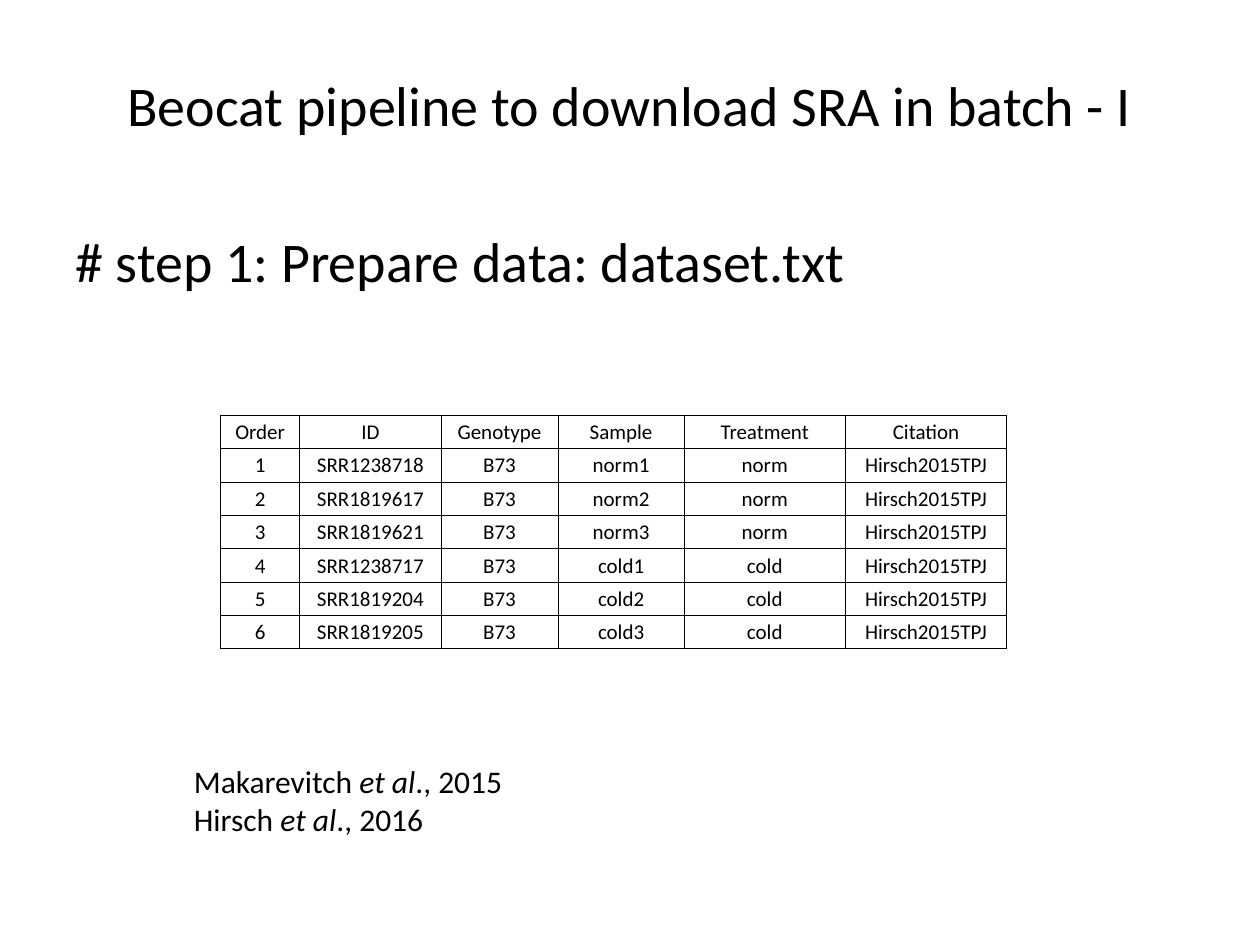
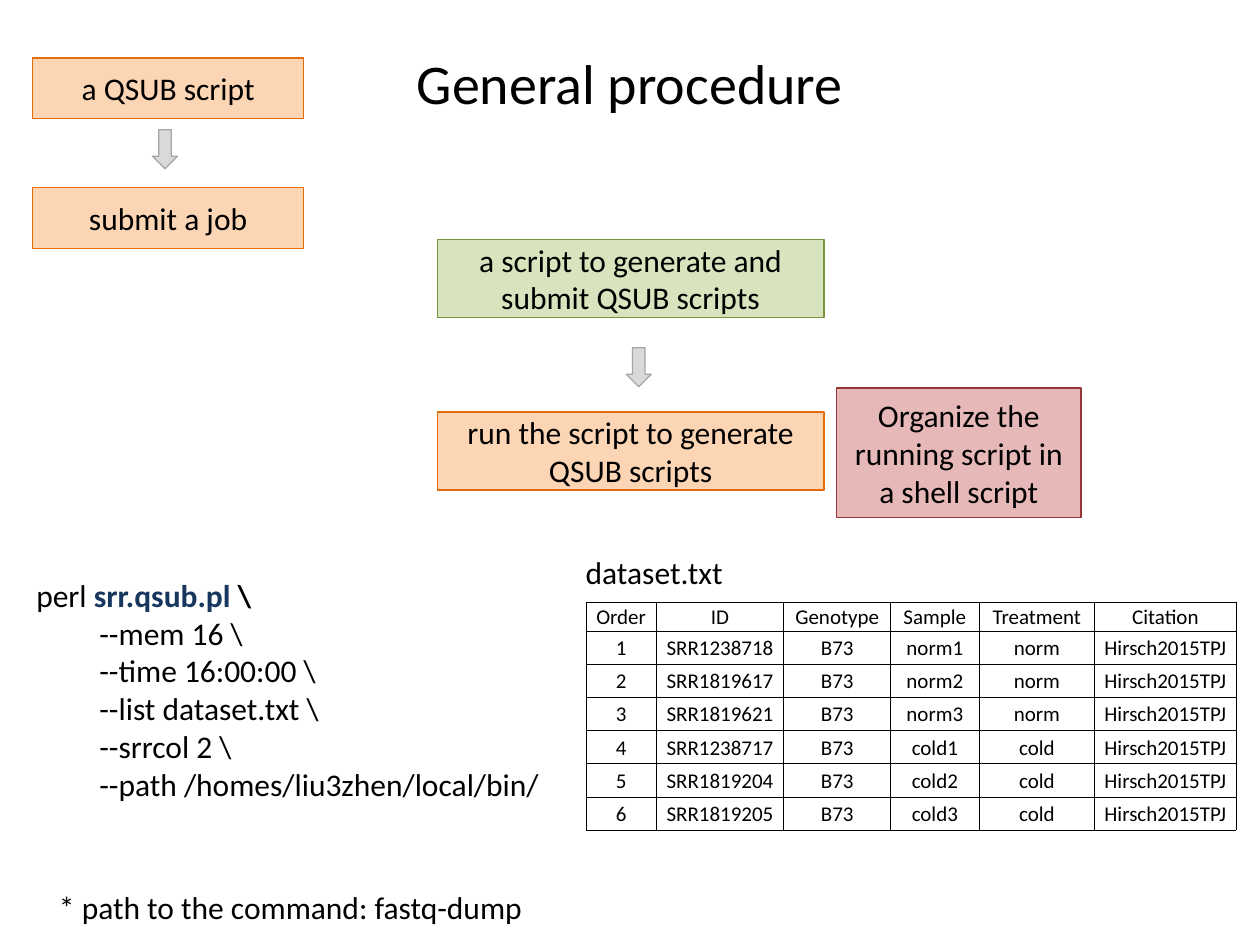
from lxml.etree import SubElement
from pptx import Presentation
from pptx.dml.color import RGBColor
from pptx.enum.shapes import MSO_SHAPE
from pptx.enum.text import MSO_ANCHOR, PP_ALIGN
from pptx.oxml.ns import qn
from pptx.util import Inches, Pt

FONT = "Calibri"
BLACK = RGBColor(0x00, 0x00, 0x00)
NAVY = RGBColor(0x17, 0x37, 0x5E)
ORANGE = (RGBColor(0xFC, 0xD5, 0xB5), RGBColor(0xE4, 0x6C, 0x0A))
GREEN = (RGBColor(0xD7, 0xE4, 0xBD), RGBColor(0x77, 0x93, 0x3C))
RED = (RGBColor(0xE6, 0xB9, 0xB8), RGBColor(0x95, 0x37, 0x35))
GRAY = (RGBColor(0xD9, 0xD9, 0xD9), RGBColor(0xA6, 0xA6, 0xA6))

HEADINGS = ("Order", "ID", "Genotype", "Sample", "Treatment", "Citation")
RUN_IDS = {
    "norm": ("SRR1238718", "SRR1819617", "SRR1819621"),
    "cold": ("SRR1238717", "SRR1819204", "SRR1819205"),
}


def dataset_rows():
    rows = [HEADINGS]
    for treatment, run_ids in RUN_IDS.items():
        for number, run_id in enumerate(run_ids, 1):
            rows.append((str(len(rows)), run_id, "B73", f"{treatment}{number}",
                         treatment, "Hirsch2015TPJ"))
    return rows


def write(frame, paragraphs, size=18, align=PP_ALIGN.LEFT, tab=None):
    for index, content in enumerate(paragraphs):
        para = frame.paragraphs[0] if index == 0 else frame.add_paragraph()
        para.alignment = align
        if tab:
            tab_list = SubElement(para._p.get_or_add_pPr(), qn("a:tabLst"))
            SubElement(tab_list, qn("a:tab"), pos=str(Inches(tab)), algn="l")
        spans = [(content, {})] if isinstance(content, str) else content
        for text, style in spans:
            span = para.add_run()
            span.text = text
            span.font.name = FONT
            span.font.size = Pt(size)
            span.font.bold = style.get("bold", False)
            span.font.italic = style.get("italic", False)
            span.font.color.rgb = style.get("color", BLACK)


def add_text(page, place, *paragraphs, wrap=True, anchor=MSO_ANCHOR.TOP, **style):
    box = page.shapes.add_textbox(*map(Inches, place))
    box.text_frame.word_wrap = wrap
    box.text_frame.vertical_anchor = anchor
    write(box.text_frame, paragraphs, **style)


def add_title(page, text, height):
    add_text(page, (0.5, 0.3, 9, height), text, size=32,
             align=PP_ALIGN.CENTER, anchor=MSO_ANCHOR.MIDDLE)


def add_block(page, kind, place, colors):
    block = page.shapes.add_shape(kind, *map(Inches, place))
    block.shadow.inherit = False
    fill, line = colors
    block.fill.solid()
    block.fill.fore_color.rgb = fill
    block.line.color.rgb = line
    block.line.width = Pt(0.75)
    return block


def add_step(page, place, text, colors):
    frame = add_block(page, MSO_SHAPE.RECTANGLE, place, colors).text_frame
    frame.word_wrap = True
    frame.vertical_anchor = MSO_ANCHOR.MIDDLE
    write(frame, [text], align=PP_ALIGN.CENTER)


def add_down_arrow(page, left, top):
    add_block(page, MSO_SHAPE.DOWN_ARROW, (left, top, 0.2, 0.31), GRAY)


def add_borders(cell):
    properties = cell._tc.get_or_add_tcPr()
    for side in ("lnL", "lnR", "lnT", "lnB"):
        line = SubElement(properties, qn(f"a:{side}"), w=str(Pt(0.5)))
        fill = SubElement(line, qn("a:solidFill"))
        SubElement(fill, qn("a:srgbClr"), val=str(BLACK))


def add_dataset(page, place, widths, header_height):
    rows = dataset_rows()
    table = page.shapes.add_table(len(rows), len(HEADINGS), *map(Inches, place)).table
    table.first_row = False
    table.horz_banding = False
    for column, width in zip(table.columns, widths):
        column.width = Inches(width)
    body_height = (place[3] - header_height) / (len(rows) - 1)
    for index, values in enumerate(rows):
        table.rows[index].height = Inches(body_height if index else header_height)
        for column, value in enumerate(values):
            cell = table.cell(index, column)
            cell.margin_left = cell.margin_right = cell.margin_top = Inches(0.01)
            cell.margin_bottom = 0
            cell.vertical_anchor = MSO_ANCHOR.MIDDLE
            add_borders(cell)
            cell.fill.background()
            write(cell.text_frame, [value], size=12, align=PP_ALIGN.CENTER)


def citation(author, year):
    return [(f"{author} ", {}), ("et al", {"italic": True}), (f"., {year}", {})]


def build_data_page(page):
    add_title(page, "Beocat pipeline to download SRA in batch - I", 1.05)
    add_text(page, (0.5, 1.75, 9, 0.76), "# step 1: Prepare data: dataset.txt", size=32)
    add_dataset(page, (1.75, 3.3, 6.23, 1.85), (0.63, 1.12, 0.93, 1, 1.28, 1.28), 0.26)
    add_text(page, (1.44, 6, 2.68, 0.71), citation("Makarevitch", 2015),
             citation("Hirsch", 2016), wrap=False)


def build_procedure_page(page):
    add_title(page, "General procedure", 0.71)
    add_step(page, (0.26, 1.49, 2.15, 0.48), "submit a job", ORANGE)
    add_step(page, (0.26, 0.46, 2.15, 0.48), "a QSUB script", ORANGE)
    add_step(page, (3.47, 1.9, 3.07, 0.62),
             "a script to generate and submit QSUB scripts", GREEN)
    add_step(page, (3.47, 3.27, 3.07, 0.62),
             "run the script to generate QSUB scripts", ORANGE)
    add_down_arrow(page, 4.97, 2.76)
    add_down_arrow(page, 1.21, 1.03)
    command = [("perl ", {}), ("srr.qsub.pl", {"bold": True, "color": NAVY}),
               (" \\", {"bold": True})]
    add_text(page, (0.19, 4.52, 4.36, 1.92), command, "\t--mem 16 \\",
             "\t--time 16:00:00 \\", "\t--list dataset.txt \\", "\t--srrcol 2 \\",
             "\t--path /homes/liu3zhen/local/bin/", tab=0.5)
    add_dataset(page, (4.65, 4.78, 5.17, 1.81), (0.56, 1.01, 0.85, 0.7, 0.92, 1.12), 0.23)
    add_text(page, (4.55, 4.34, 1.31, 0.4), "dataset.txt", wrap=False)
    add_text(page, (0.37, 7, 3.93, 0.4), "* path to the command: fastq-dump", wrap=False)
    add_step(page, (6.64, 3.08, 1.94, 1.03),
             "Organize the running script in a shell script", RED)


def main():
    deck = Presentation()
    deck.slide_width = Inches(10)
    deck.slide_height = Inches(7.5)
    for build in (build_data_page, build_procedure_page):
        build(deck.slides.add_slide(deck.slide_layouts[6]))
    deck.save("out.pptx")


if __name__ == "__main__":
    main()
